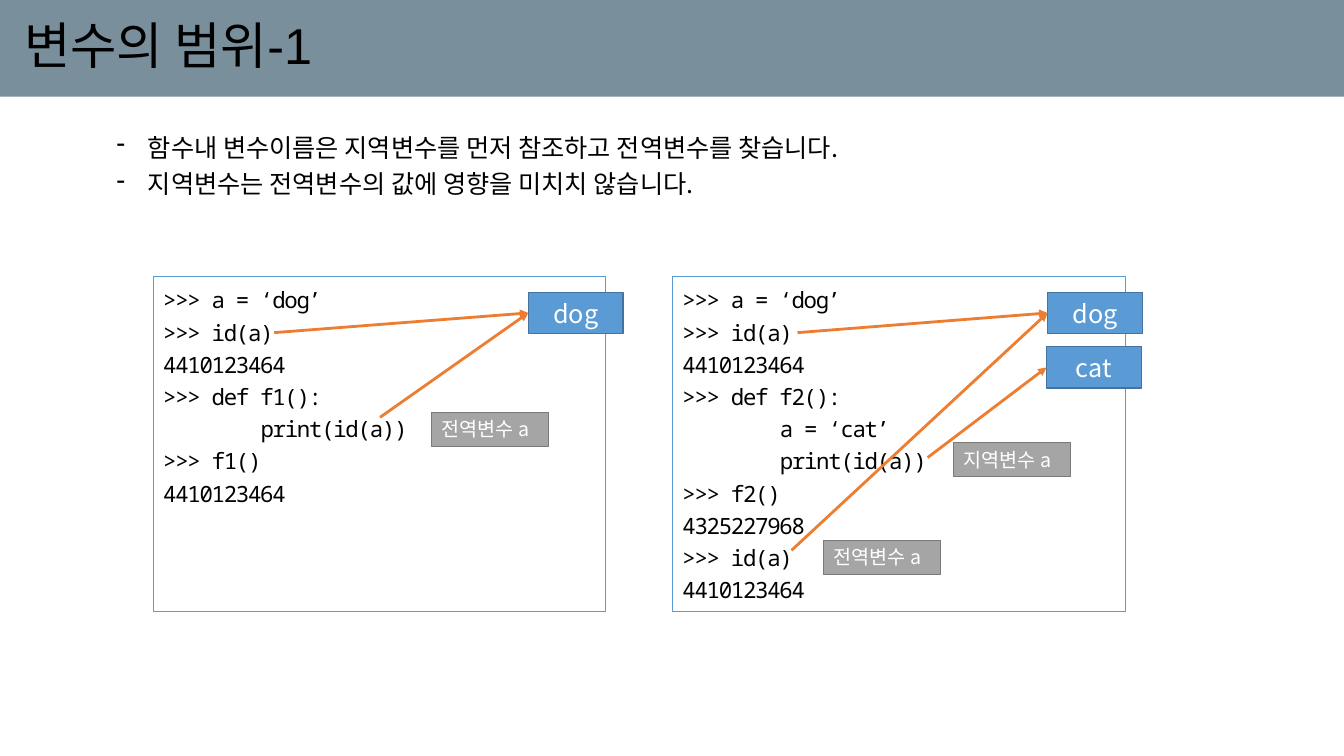
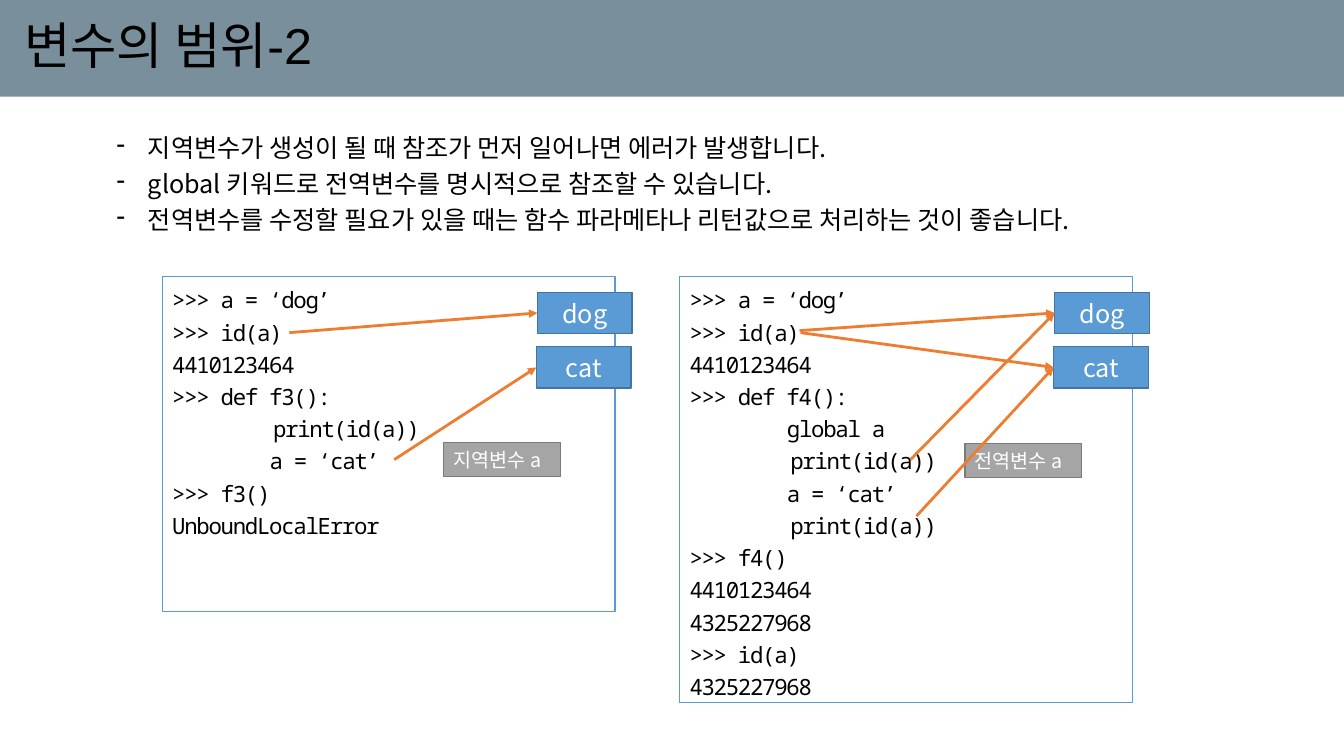
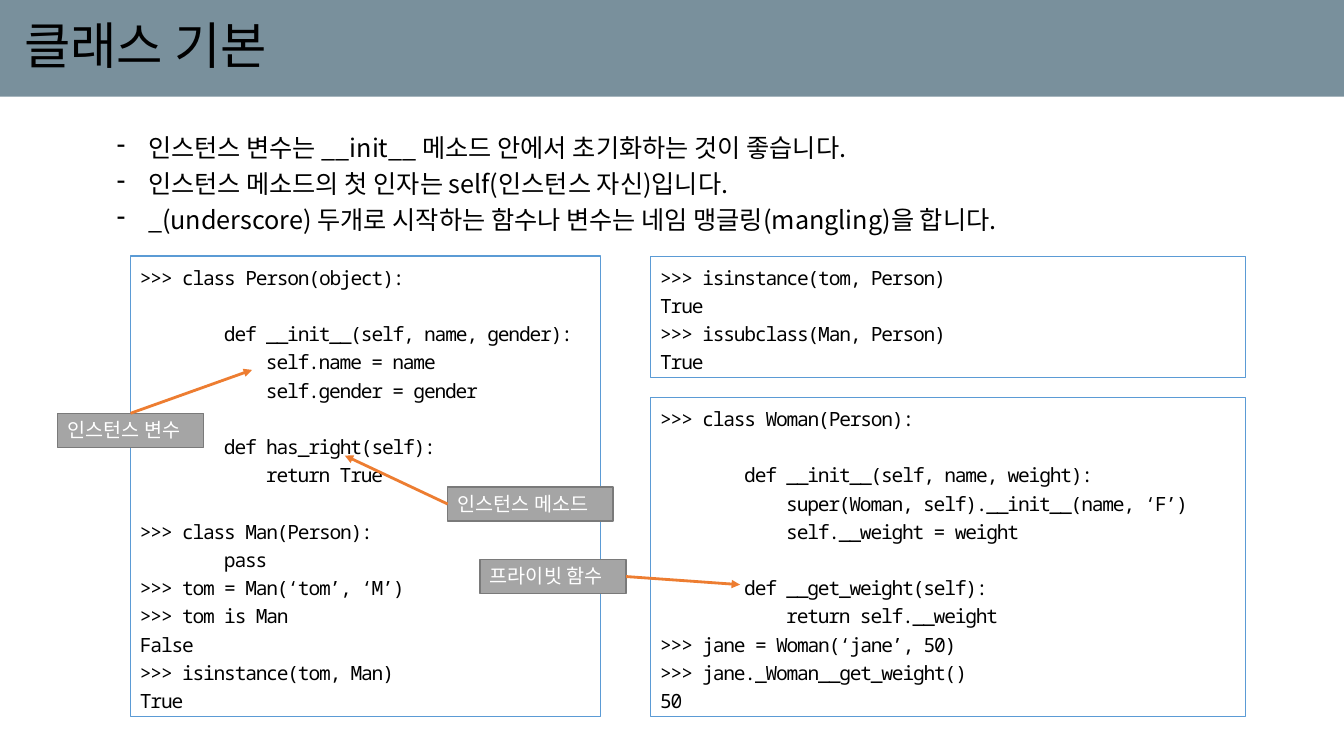
from lxml.etree import SubElement
from pptx import Presentation
from pptx.dml.color import RGBColor
from pptx.enum.shapes import MSO_CONNECTOR as CONN, MSO_SHAPE as SHAPE
from pptx.enum.text import MSO_ANCHOR as ANCHOR, MSO_AUTO_SIZE as FIT, PP_ALIGN as ALIGN
from pptx.oxml.ns import qn
from pptx.util import Pt

PX = 9144
BAND = RGBColor(0x79, 0x90, 0x9C)
BLUE = RGBColor(0x5B, 0x9B, 0xD5)
NAVY = RGBColor(0x43, 0x73, 0x9E)
GRAY = RGBColor(0xA5, 0xA5, 0xA5)
DARK_GRAY = RGBColor(0x7A, 0x7A, 0x7A)
ORANGE = RGBColor(0xED, 0x7D, 0x31)
BLACK = RGBColor(0, 0, 0)
WHITE = RGBColor(0xFF, 0xFF, 0xFF)

SANS = "Noto Sans CJK KR"
MONO = "Noto Sans Mono"
TRACKING = -0.9
TOP, LEFT, RIGHT = 0, 1, 3


def px(*lengths):
    return [length * PX for length in lengths]


def apply(target, values):
    for name, value in values.items():
        setattr(target, name, value)


class Deck:
    def __init__(self):
        self.prs = Presentation()
        apply(self.prs, {"slide_width": 1333 * PX, "slide_height": 750 * PX})
        self.s = None

    def slide(self, title, bullets, width=1077):
        self.s = self.prs.slides.add_slide(self.prs.slide_layouts[6])
        band = self.box((0, 0, 1333, 96), fill=BAND)
        apply(band.text_frame, {"vertical_anchor": ANCHOR.MIDDLE, "margin_left": 24 * PX})
        p = self.para(band.text_frame, 0, title, 36, BLACK, "Arial")
        p.line_spacing = 0.9
        self.bullets(bullets, width)

    def box(self, at, fill=None, line=None, weight=1):
        sp = self.s.shapes.add_shape(SHAPE.RECTANGLE, *px(*at))
        sp.shadow.inherit = False
        if fill is None:
            sp.fill.background()
        else:
            sp.fill.solid()
            sp.fill.fore_color.rgb = fill
        if line is None:
            sp.line.fill.background()
        else:
            sp.line.color.rgb = line
            sp.line.width = Pt(weight)
        return sp

    def para(self, tf, index, text, size, color, font=SANS, align=ALIGN.LEFT):
        p = tf.add_paragraph() if index else tf.paragraphs[0]
        p.alignment = align
        r = p.add_run()
        r.text = text
        apply(r.font, {"size": Pt(size), "name": font})
        r.font.color.rgb = color
        east = SANS if font == "Arial" else font
        SubElement(r.font._element, qn("a:ea")).set("typeface", east)
        return p

    def bullets(self, lines, width):
        sp = self.s.shapes.add_textbox(*px(106, 120, width, 11 + 36 * len(lines)))
        apply(sp.text_frame, {"word_wrap": True, "auto_size": FIT.SHAPE_TO_FIT_TEXT})
        for i, text in enumerate(lines):
            p = self.para(sp.text_frame, i, text, 18, BLACK)
            p.line_spacing = 1.2
            pPr = p._p.get_or_add_pPr()
            pPr.set("marL", str(31 * PX))
            pPr.set("indent", str(-31 * PX))
            SubElement(pPr, qn("a:buChar")).set("char", "-")

    def code(self, at, lines, size=16):
        sp = self.box(at, line=BLUE, weight=0.75)
        tf = sp.text_frame
        apply(tf, {"word_wrap": True, "vertical_anchor": ANCHOR.TOP})
        gap = 0
        for i, line in enumerate(lines):
            text = line.lstrip()
            if not text:
                gap += Pt(size * 1.44)
                continue
            p = self.para(tf, i, text, size, BLACK, MONO)
            apply(p, {"line_spacing": 1.2, "space_before": gap})
            gap = 0
            p.runs[0].font._element.set("spc", str(round(TRACKING * 100)))
            depth = len(line) - len(text)
            indent = 100 * PX if line.startswith("\t") else Pt(depth * (size * 0.6 + TRACKING))
            p._p.get_or_add_pPr().set("marL", str(int(indent)))

    def scope(self, left, height, lines, values):
        self.code((left, 274, 449, height), lines)
        return [self.value(left + 372 - i, 290 + 54 * i, text) for i, text in enumerate(values)]

    def value(self, left, top, text):
        sp = self.box((left, top, 94, 41), BLUE, NAVY)
        sp.text_frame.vertical_anchor = ANCHOR.MIDDLE
        self.para(sp.text_frame, 0, text, 18, WHITE, align=ALIGN.CENTER)
        return sp

    def tag(self, left, top, text, width=116):
        sp = self.box((left, top, width, 34), GRAY, DARK_GRAY)
        apply(sp.text_frame, {"word_wrap": False, "auto_size": FIT.SHAPE_TO_FIT_TEXT,
                              "vertical_anchor": ANCHOR.TOP})
        self.para(sp.text_frame, 0, text, 14, WHITE)
        return sp

    def arrow(self, start, end, source=None, target=None):
        c = self.s.shapes.add_connector(CONN.STRAIGHT, *px(*start, *end))
        if source:
            c.begin_connect(*source)
        if target:
            c.end_connect(*target)
        c.line.color.rgb = ORANGE
        c.line.width = Pt(2)
        SubElement(c.line._get_or_add_ln(), qn("a:tailEnd")).set("type", "triangle")
        SubElement(c._element.spPr, qn("a:effectLst"))

    def point(self, start, value):
        middle = (value.left // PX, (value.top + value.height // 2) // PX)
        self.arrow(start, middle, target=(value, LEFT))


def local_scope(deck):
    deck.slide("변수의 범위-1", [
        "함수내 변수이름은 지역변수를 먼저 참조하고 전역변수를 찾습니다.",
        "지역변수는 전역변수의 값에 영향을 미치치 않습니다.",
    ])
    dog, = deck.scope(152, 333, [
        ">>> a = ‘dog’",
        ">>> id(a)",
        "4410123464",
        ">>> def f1():",
        "        print(id(a))",
        ">>> f1()",
        "4410123464",
    ], ["dog"])
    deck.tag(428, 409, "전역변수 a")
    deck.point((272, 330), dog)
    deck.point((377, 414), dog)

    dog, cat = deck.scope(667, 333, [
        ">>> a = ‘dog’",
        ">>> id(a)",
        "4410123464",
        ">>> def f2():",
        "        a = ‘cat’",
        "        print(id(a))",
        ">>> f2()",
        "4325227968",
        ">>> id(a)",
        "4410123464",
    ], ["dog", "cat"])
    deck.tag(946, 439, "지역변수 a")
    deck.tag(817, 536, "전역변수 a")
    deck.point((791, 330), dog)
    deck.point((920, 454), cat)
    deck.point((785, 546), dog)


def global_scope(deck):
    deck.slide("변수의 범위-2", [
        "지역변수가 생성이 될 때 참조가 먼저 일어나면 에러가 발생합니다.",
        "global 키워드로 전역변수를 명시적으로 참조할 수 있습니다.",
        "전역변수를 수정할 필요가 있을 때는 함수 파라메타나 리턴값으로 처리하는 것이 좋습니다.",
    ])
    dog, cat = deck.scope(161, 333, [
        ">>> a = ‘dog’",
        ">>> id(a)",
        "4410123464",
        ">>> def f3():",
        "\tprint(id(a))",
        "        a = ‘cat’",
        ">>> f3()",
        "UnboundLocalError",
    ], ["dog", "cat"])
    deck.tag(440, 439, "지역변수 a")
    deck.point((287, 330), dog)
    deck.point((391, 456), cat)

    dog, cat = deck.scope(674, 423, [
        ">>> a = ‘dog’",
        ">>> id(a)",
        "4410123464",
        ">>> def f4():",
        "        global a",
        "\tprint(id(a))",
        "        a = ‘cat’",
        "\tprint(id(a))",
        ">>> f4()",
        "4410123464",
        "4325227968",
        ">>> id(a)",
        "4325227968",
    ], ["dog", "cat"])
    deck.tag(957, 440, "전역변수 a")
    deck.point((793, 328), dog)
    deck.point((903, 456), dog)
    deck.point((909, 512), cat)
    deck.point((794, 330), cat)


def class_basics(deck):
    deck.slide("클래스 기본", [
        "인스턴스 변수는 __init__ 메소드 안에서 초기화하는 것이 좋습니다.",
        "인스턴스 메소드의 첫 인자는 self(인스턴스 자신)입니다.",
        "_(underscore) 두개로 시작하는 함수나 변수는 네임 맹글링(mangling)을 합니다.",
    ], 1059)
    deck.code((129, 254, 467, 457), [
        ">>> class Person(object):",
        "",
        "        def __init__(self, name, gender):",
        "            self.name = name",
        "            self.gender = gender",
        "",
        "        def has_right(self):",
        "            return True",
        "",
        ">>> class Man(Person):",
        "        pass",
        ">>> tom = Man(‘tom’, ‘M’)",
        ">>> tom is Man",
        "False",
        ">>> isinstance(tom, Man)",
        "True",
    ], 14)
    deck.code((645, 254, 590, 121), [
        ">>> isinstance(tom, Person)",
        "True",
        ">>> issubclass(Man, Person)",
        "True",
    ], 14)
    deck.code((645, 394, 590, 317), [
        ">>> class Woman(Person):",
        "",
        "        def __init__(self, name, weight):",
        "            super(Woman, self).__init__(name, ‘F’)",
        "            self.__weight = weight",
        "",
        "        def __get_weight(self):",
        "            return self.__weight",
        ">>> jane = Woman(‘jane’, 50)",
        ">>> jane._Woman__get_weight()",
        "50",
    ], 14)
    variable = deck.tag(57, 410, "인스턴스 변수", 145)
    private = deck.tag(476, 555, "프라이빗 함수", 145)
    method = deck.tag(444, 483, "인스턴스 메소드", 164)
    deck.arrow((129, 410), (250, 367), source=(variable, TOP))
    deck.arrow((621, 572), (734, 580), source=(private, RIGHT))
    deck.arrow((444, 500), (342, 452), source=(method, LEFT))


def main():
    deck = Deck()
    local_scope(deck)
    global_scope(deck)
    class_basics(deck)
    deck.prs.save("out.pptx")


if __name__ == "__main__":
    main()
